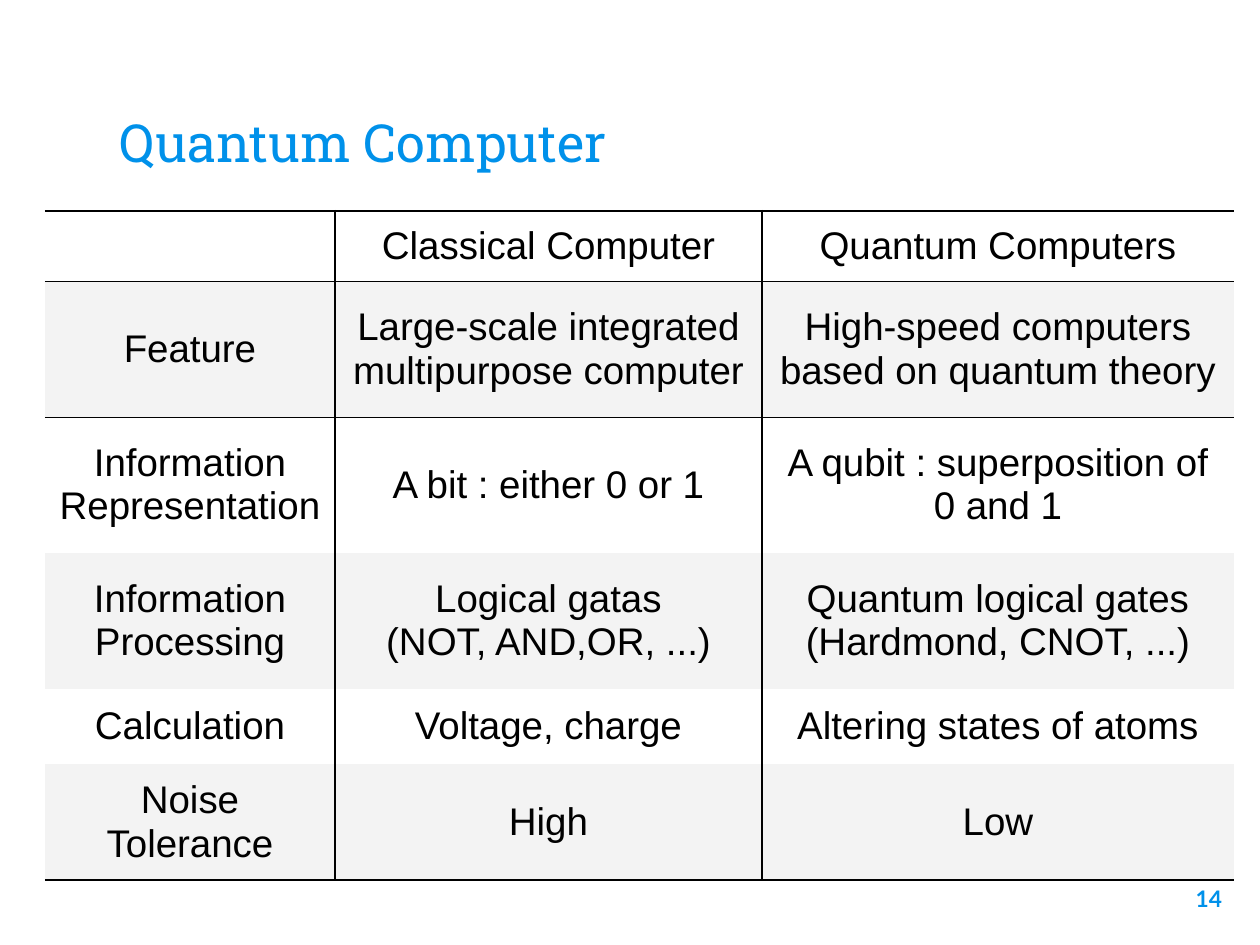
from lxml.etree import SubElement
from pptx import Presentation
from pptx.dml.color import RGBColor
from pptx.enum.text import MSO_ANCHOR, PP_ALIGN
from pptx.oxml.ns import qn
from pptx.util import Pt

BLUE = RGBColor(0x00, 0x91, 0xEA)
BLACK = RGBColor(0x00, 0x00, 0x00)
BAND = RGBColor(0xF3, 0xF3, 0xF3)
EMU_PER_PIXEL = 914400 / 126
PLAIN_TABLE = "{2D5ABB26-0587-4C30-8999-92F81FD0307C}"


def px(pixels):
    return round(pixels * EMU_PER_PIXEL)


class SlideBuilder:
    """Holds the style and the current slide, and adds its elements."""

    inset = 12

    def __init__(self, slide):
        self.slide = slide

    def add_text(self, frame, text, font, size, color, align, bold=False):
        frame.word_wrap = True
        for number, line in enumerate(text.split("\n")):
            paragraph = frame.add_paragraph() if number else frame.paragraphs[0]
            paragraph.alignment = align
            run = paragraph.add_run()
            run.text = line
            run.font.name = font
            run.font.size = Pt(size)
            run.font.bold = bold
            run.font.color.rgb = color

    def pad(self, holder):
        holder.margin_left = holder.margin_right = px(self.inset)
        holder.margin_top = holder.margin_bottom = px(self.inset)

    def title(self, text, left, top, width, height):
        heading = self.slide.shapes.title
        heading.left, heading.top = px(left), px(top)
        heading.width, heading.height = px(width), px(height)
        self.pad(heading.text_frame)
        heading.text_frame.vertical_anchor = MSO_ANCHOR.BOTTOM
        self.add_text(heading.text_frame, text, "Roboto Slab", 30, BLUE, PP_ALIGN.LEFT)

    def page_number(self, text, left, top, width, height):
        box = self.slide.shapes.add_textbox(px(left), px(top), px(width), px(height))
        self.pad(box.text_frame)
        self.add_text(box.text_frame, text, "Lato", 13, BLUE, PP_ALIGN.RIGHT, True)

    def border(self, cell, widths):
        properties = cell._tc.get_or_add_tcPr()
        for side in "LRTB":
            if side in widths:
                line = SubElement(properties, qn(f"a:ln{side}"), w=str(Pt(widths[side])))
                fill = SubElement(line, qn("a:solidFill"))
                SubElement(fill, qn("a:srgbClr"), val=str(BLACK))

    def comparison(self, rows, left, top, widths, heights):
        frame = self.slide.shapes.add_table(
            len(rows), len(widths), px(left), px(top), px(sum(widths)), px(sum(heights)))
        table = frame.table
        table.first_row = table.horz_banding = False
        table._tbl.tblPr.find(qn("a:tableStyleId")).text = PLAIN_TABLE
        for column, width in zip(table.columns, widths):
            column.width = px(width)
        for r, (texts, height) in enumerate(zip(rows, heights)):
            table.rows[r].height = px(height)
            for c, text in enumerate(texts):
                self.cell(table.cell(r, c), text, r, c, len(rows) - 1)

    def cell(self, cell, text, row, column, last_row):
        widths = {}
        if column < 2:
            widths["R" if column == 0 else "L"] = 0.75
        if row < 2:
            widths["T"] = 0.75 if row else 1.5
        if row in (0, last_row):
            widths["B"] = 1.5 if row else 0.75
        self.border(cell, widths)
        if row % 2:
            cell.fill.solid()
            cell.fill.fore_color.rgb = BAND
        else:
            cell.fill.background()
        self.pad(cell)
        cell.vertical_anchor = MSO_ANCHOR.MIDDLE
        if text:
            self.add_text(cell.text_frame, text, "Arial", 22, BLACK, PP_ALIGN.CENTER)


COMPARISON = [
    ("", "Classical Computer", "Quantum Computers"),
    ("Feature", "Large-scale integrated multipurpose computer",
     "High-speed computers based on quantum theory"),
    ("Information\nRepresentation", "A bit : either 0 or 1",
     "A qubit : superposition of 0 and 1"),
    ("Information Processing", "Logical gatas\n(NOT, AND,OR, ...)",
     "Quantum logical gates\n(Hardmond, CNOT, ...)"),
    ("Calculation", "Voltage, charge", "Altering states of atoms"),
    ("Noise Tolerance", "High", "Low"),
]

deck = Presentation()
deck.slide_width, deck.slide_height = px(1260), px(945)
builder = SlideBuilder(deck.slides.add_slide(deck.slide_layouts[5]))
builder.title("Quantum Computer", 108, 57, 1043, 128)
builder.page_number("14", 1158, 873, 76, 72)
builder.comparison(COMPARISON, 45, 211, (290, 427, 472), (68, 136, 136, 136, 75, 110))
deck.save("out.pptx")
